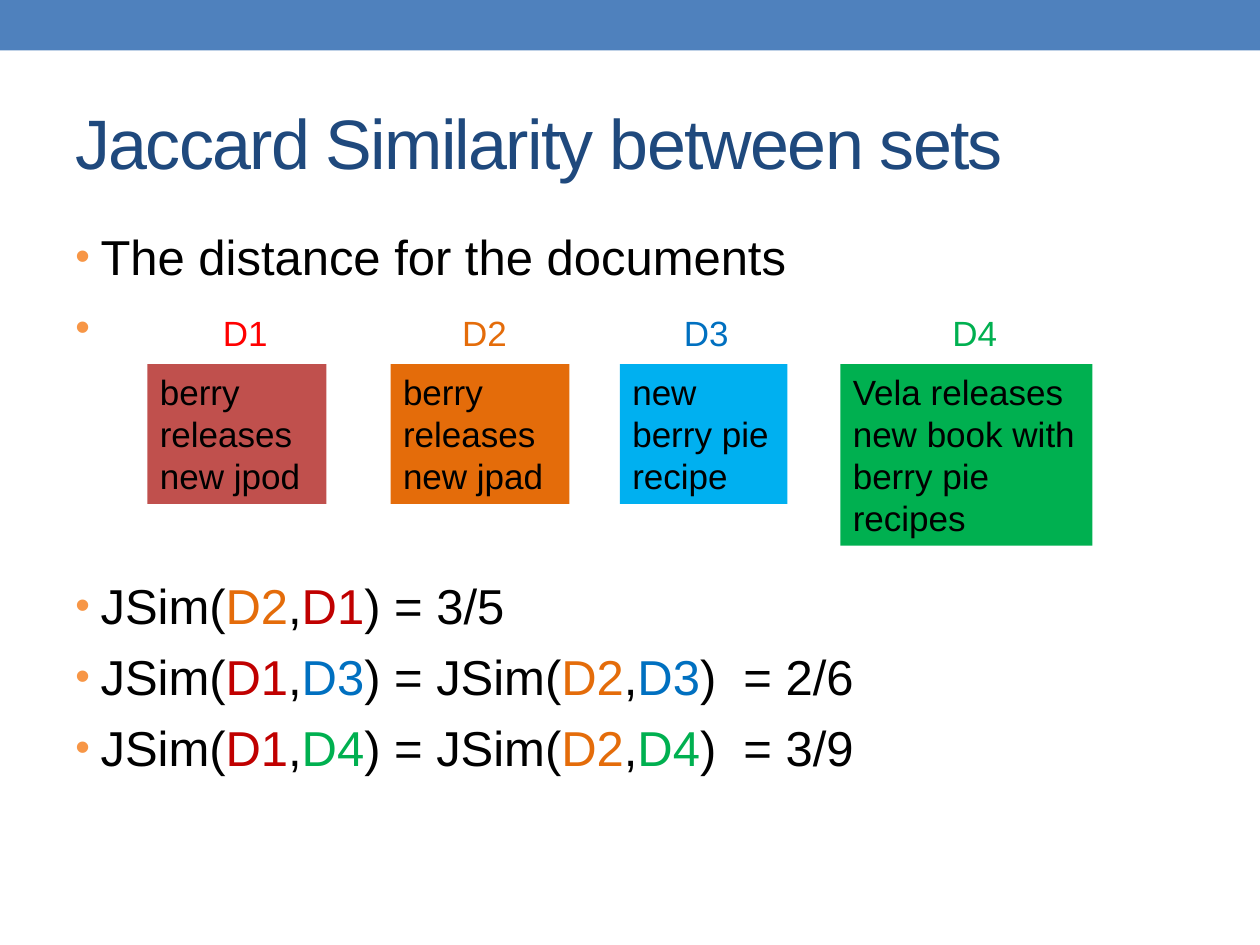
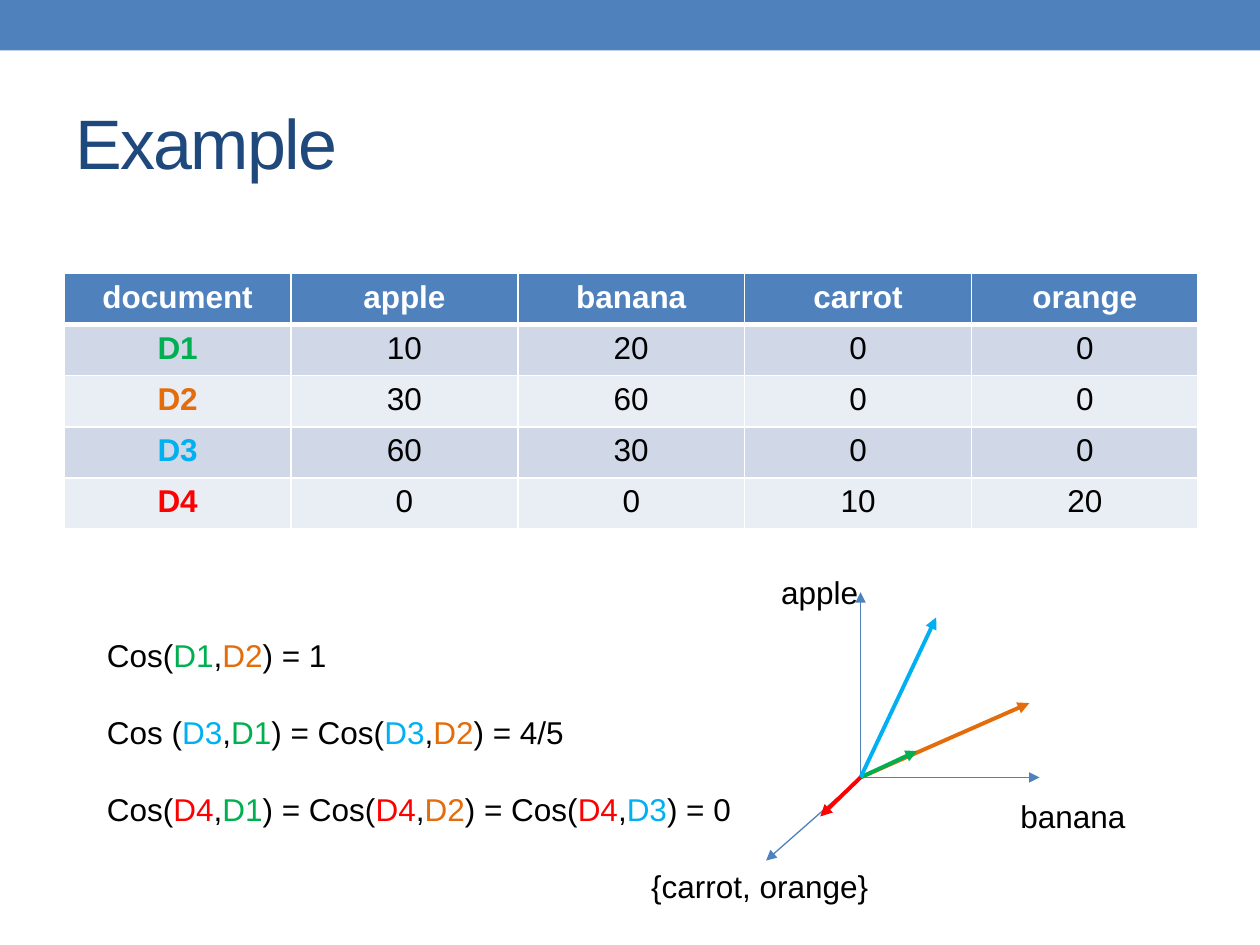
from dataclasses import dataclass

from lxml.etree import SubElement
from pptx import Presentation
from pptx.dml.color import RGBColor
from pptx.enum.shapes import MSO_CONNECTOR, MSO_SHAPE
from pptx.enum.text import MSO_ANCHOR, PP_ALIGN
from pptx.oxml import parse_xml
from pptx.oxml.ns import nsdecls, qn
from pptx.util import Inches, Pt


@dataclass(frozen=True)
class Theme:
    """Colours, font and type sizes of the deck."""
    font: str = "Arial"
    blue: str = "4F81BD"
    navy: str = "1F497D"
    black: str = "000000"
    white: str = "FFFFFF"
    red: str = "FF0000"
    wine: str = "C00000"
    brick: str = "C0504D"
    amber: str = "E46C0A"
    peach: str = "F79646"
    ocean: str = "0070C0"
    sky: str = "00B0F0"
    green: str = "00B050"
    rows: tuple = ("E9EDF4", "D0D8E8")
    title: int = 40
    body: int = 28
    label: int = 20
    small: int = 18


THEME = Theme()
SETS = {"D1": THEME.wine, "D2": THEME.amber, "D3": THEME.ocean, "D4": THEME.green}
DOCS = {"D1": THEME.green, "D2": THEME.amber, "D3": THEME.sky, "D4": THEME.red}


def add_run(para, text, size, color=THEME.black, bold=False):
    """Add one formatted run."""
    run = para.add_run()
    run.text = text
    font = run.font
    font.name, font.size, font.bold = THEME.font, Pt(size), bold
    font.color.rgb = RGBColor.from_string(color)
    return run


def add_terms(para, text, size, hues):
    """Add the parts of a formula, split at bars, with each document in its hue."""
    for part in text.split("|"):
        add_run(para, part, size, hues.get(part, THEME.black))


def next_para(frame):
    """Return the first paragraph while it is empty, else a new one."""
    first = frame.paragraphs[0]
    return frame.add_paragraph() if first.runs else first


def add_text(slide, box, wrap=True):
    """Add a text box and return its frame."""
    frame = slide.shapes.add_textbox(*map(Inches, box)).text_frame
    frame.word_wrap = wrap
    return frame


def add_box(slide, box, color):
    """Add a plain filled rectangle."""
    shape = slide.shapes.add_shape(MSO_SHAPE.RECTANGLE, *map(Inches, box))
    shape.shadow.inherit = False
    shape.fill.solid()
    shape.fill.fore_color.rgb = RGBColor.from_string(color)
    shape.line.fill.background()
    return shape


def add_arrow(slide, start, end, color, width):
    """Add a straight arrow between two points."""
    line = slide.shapes.add_connector(
        MSO_CONNECTOR.STRAIGHT, *map(Inches, (*start, *end)))
    line.line.color.rgb = RGBColor.from_string(color)
    line.line.width = Pt(width)
    SubElement(line.line._get_or_add_ln(), qn("a:tailEnd"), type="triangle")
    SubElement(line.element.spPr, qn("a:effectLst"))


def add_slide(deck, text):
    """Add a title-only slide with the shared title style."""
    slide = deck.slides.add_slide(deck.slide_layouts[5])
    title = slide.shapes.title
    title.left, title.top, title.width, title.height = map(Inches, (0.5, 0.58, 9, 1.08))
    title.text_frame.vertical_anchor = MSO_ANCHOR.MIDDLE
    para = title.text_frame.paragraphs[0]
    para.alignment = PP_ALIGN.LEFT
    run = add_run(para, text, THEME.title, THEME.navy)
    run.font._element.set("spc", "-100")
    return slide


def add_band(deck, slide):
    """Put the top band on the layout that all slides share."""
    band = add_box(slide, (0, 0, 10, 0.4), THEME.blue)
    slide.slide_layout.shapes.element.insert(2, band.element)


def add_bullet(frame, before=7, tabs=()):
    """Add a bulleted paragraph with a hanging indent and tab stops."""
    para = next_para(frame)
    para.space_before = Pt(before)
    props = para._p.get_or_add_pPr()
    props.set("marL", str(Inches(0.2)))
    props.set("indent", str(-Inches(0.2)))
    color = SubElement(props, qn("a:buClr"))
    SubElement(color, qn("a:srgbClr"), val=THEME.peach)
    SubElement(props, qn("a:buSzPct"), val="85000")
    SubElement(props, qn("a:buFont"), typeface=THEME.font)
    SubElement(props, qn("a:buChar"), char="•")
    if tabs:
        stops = SubElement(props, qn("a:tabLst"))
        for stop in tabs:
            SubElement(stops, qn("a:tab"), pos=str(Inches(stop)), algn="l")
    return para


def add_points(slide, box):
    """Add the bullets with the document names and similarities."""
    frame = add_text(slide, box)
    add_run(add_bullet(frame), "The distance for the documents", THEME.body)
    names = add_bullet(frame, tabs=(1.17, 3.07, 4.83, 6.96))
    for name, color in {**SETS, "D1": THEME.red}.items():
        add_run(names, "\t", THEME.body)
        add_run(names, name, THEME.label, color)
    sums = ("JSim(|D2|,|D1|) = 3/5",
            "JSim(|D1|,|D3|) = JSim(|D2|,|D3|)  = 2/6",
            "JSim(|D1|,|D4|) = JSim(|D2|,|D4|)  = 3/9")
    for text, before in zip(sums, (125, 7, 7)):
        add_terms(add_bullet(frame, before), text, THEME.body, SETS)


def add_cards(slide, box):
    """Add one coloured card for the words of each document."""
    left, top, _, high = box
    cards = (
        (0, 1.42, 1.11, THEME.brick, "berry releases new jpod"),
        (1.93, 1.42, 1.11, THEME.amber, "berry releases new jpad"),
        (3.75, 1.33, 1.11, THEME.sky, "new berry pie recipe"),
        (5.5, 2, high, THEME.green, "Vela releases new book with berry pie recipes"),
    )
    for x, wide, tall, color, text in cards:
        frame = add_box(slide, (left + x, top, wide, tall), color).text_frame
        frame.word_wrap = True
        frame.vertical_anchor = MSO_ANCHOR.TOP
        para = frame.paragraphs[0]
        para.alignment = PP_ALIGN.LEFT
        add_run(para, text, THEME.label)


def add_edges(cell, head):
    """Draw white cell borders, with a thick one under the head row."""
    props = cell._tc.get_or_add_tcPr()
    for i, side in enumerate("LRTB"):
        width = Pt(3 if head and side == "B" else 1)
        props.insert(i, parse_xml(
            f'<a:ln{side} {nsdecls("a")} w="{width}"><a:solidFill>'
            f'<a:srgbClr val="{THEME.white}"/></a:solidFill></a:ln{side}>'))


def add_counts(slide, box):
    """Add the table of word counts per document."""
    data = (("document", "apple", "banana", "carrot", "orange"),
            ("D1", 10, 20, 0, 0), ("D2", 30, 60, 0, 0),
            ("D3", 60, 30, 0, 0), ("D4", 0, 0, 10, 20))
    table = slide.shapes.add_table(len(data), len(data[0]), *map(Inches, box)).table
    for i, row in enumerate(data):
        for j, value in enumerate(row):
            cell = table.cell(i, j)
            cell.fill.solid()
            fill = THEME.rows[i % 2] if i else THEME.blue
            cell.fill.fore_color.rgb = RGBColor.from_string(fill)
            para = cell.text_frame.paragraphs[0]
            para.alignment = PP_ALIGN.CENTER
            color = DOCS.get(value, THEME.black) if i else THEME.white
            add_run(para, str(value), THEME.small, color, i == 0 or j == 0)
            add_edges(cell, i == 0)


def add_cosines(slide, box):
    """Add the cosine formulas."""
    frame = add_text(slide, box, wrap=False)
    sums = ("Cos(|D1|,|D2|) = 1",
            "Cos (|D3|,|D1|) = Cos(|D3|,|D2|) = 4/5",
            "Cos(|D4|,|D1|) = Cos(|D4|,|D2|) = Cos(|D4|,|D3|) = 0")
    for i, text in enumerate(sums):
        para = next_para(frame)
        para.space_before = Pt(22.4 if i else 0)
        add_terms(para, text, THEME.small, DOCS)


def add_plot(slide, box):
    """Add the axes, their names and the document vectors."""
    left, top, _, _ = box
    start = left + 1.76, top + 1.67

    def ray(dx, dy, color, width):
        """Draw an arrow from the origin."""
        add_arrow(slide, start, (start[0] + dx, start[1] + dy), color, width)

    for dx, dy in ((0, -1.47), (1.42, 0), (-0.75, 0.66)):
        ray(dx, dy, THEME.blue, 0.75)
    names = (("apple", 1.03, 0, 0.82), ("banana", 2.93, 1.78, 1.04),
             ("{carrot, orange}", 0, 2.33, 1.94))
    for name, x, y, wide in names:
        frame = add_text(slide, (left + x, top + y, wide, 0.4), wrap=False)
        add_run(frame.paragraphs[0], name, THEME.small)
    rays = {"D2": (1.34, -0.59), "D1": (0.45, -0.21),
            "D3": (0.6, -1.27), "D4": (-0.32, 0.31)}
    for name, (dx, dy) in rays.items():
        ray(dx, dy, DOCS[name], 2.25)


def main():
    """Build and save the deck."""
    deck = Presentation()
    deck.slide_width, deck.slide_height = Inches(10), Inches(7.5)
    slide = add_slide(deck, "Jaccard Similarity between sets")
    add_band(deck, slide)
    add_points(slide, (0.5, 1.75, 9, 5.33))
    add_cards(slide, (1.17, 2.89, 7.5, 1.44))
    slide = add_slide(deck, "Example")
    add_counts(slide, (0.51, 2.17, 9, 2.03))
    add_cosines(slide, (0.75, 5, 5.2, 1.62))
    add_plot(slide, (5.07, 4.5, 3.97, 2.73))
    deck.save("out.pptx")


if __name__ == "__main__":
    main()
